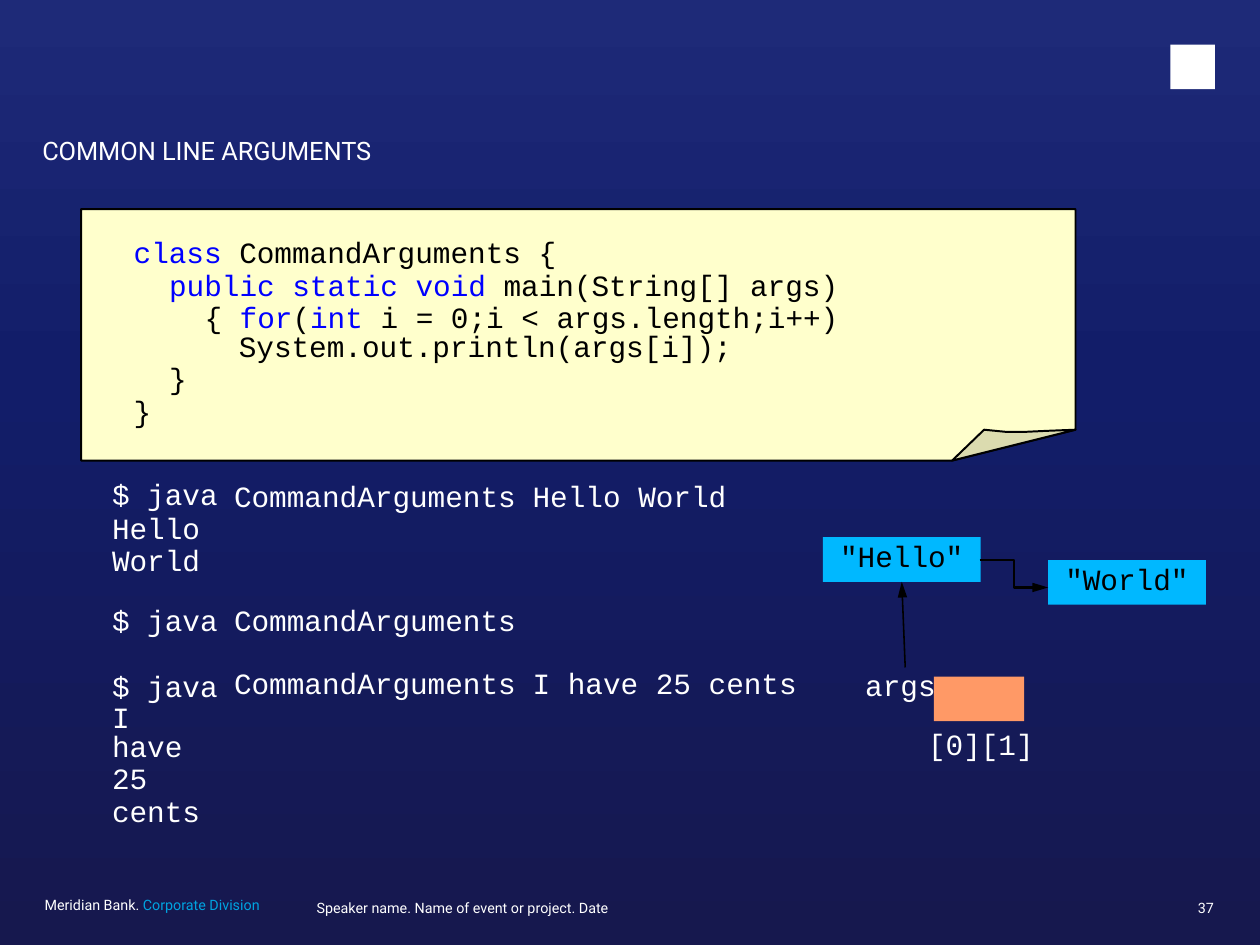
from copy import deepcopy

from lxml import etree
from pptx import Presentation
from pptx.dml.color import RGBColor
from pptx.enum import shapes, text
from pptx.oxml.ns import qn
from pptx.util import Inches, Pt

WHITE = RGBColor(0xFF, 0xFF, 0xFF)
BLACK = RGBColor(0x00, 0x00, 0x00)
KEYWORD = RGBColor(0x00, 0x00, 0xFF)
ACCENT = RGBColor(0x00, 0xA3, 0xE0)
NOTE = RGBColor(0xFF, 0xFF, 0xCC)
FOLD = RGBColor(0xDB, 0xDB, 0xAF)
STRING = RGBColor(0x00, 0xB8, 0xFF)
ARRAY = RGBColor(0xFF, 0x99, 0x66)
GRADIENT = [
    (0, RGBColor(0x16, 0x18, 0x4E)),
    (0.6, RGBColor(0x12, 0x1D, 0x69)),
    (1, RGBColor(0x1E, 0x2A, 0x78)),
]
CODE, SANS = "Courier New", "Roboto"
LEFT, CENTER, RIGHT = text.PP_ALIGN.LEFT, text.PP_ALIGN.CENTER, text.PP_ALIGN.RIGHT

# The page is 28 by 21 centimetres
deck = Presentation()
deck.slide_width, deck.slide_height = Inches(28 / 2.54), Inches(21 / 2.54)
page = deck.slides.add_slide(deck.slide_layouts[6])


def write(holder, *lines, font=CODE, size=18.5, color=WHITE, align=LEFT,
          spacing=None, before=None, indents=None, inset=(0, 0)):
    """Fill a shape or cell; a line is a string or a list of (string, colour)."""
    frame = holder.text_frame
    frame.word_wrap = True
    area = frame if hasattr(holder, "shape_id") else holder
    area.margin_left, area.margin_top = map(Inches, inset)
    area.margin_right = area.margin_bottom = 0
    area.vertical_anchor = text.MSO_ANCHOR.TOP
    for index, line in enumerate(lines):
        para = frame.paragraphs[0] if index == 0 else frame.add_paragraph()
        para.alignment = align
        if spacing:
            para.line_spacing = spacing[index]
        if before and index:
            para.space_before = Pt(before[index])
        if indents:
            margin, first = indents[index]
            settings = para._p.get_or_add_pPr()
            settings.set("marL", str(Inches(margin)))
            settings.set("indent", str(Inches(first)))
        for words, shade in [(line, color)] if isinstance(line, str) else line:
            span = para.add_run()
            span.text = words
            span.font.name, span.font.size = font, Pt(size)
            span.font.color.rgb = shade


def add_label(left, top, width, height, *lines, fill=None, **style):
    """Place a text box, or a filled rectangle, and write in it."""
    place = [Inches(value) for value in (left, top, width, height)]
    if fill is None:
        box = page.shapes.add_textbox(*place)
    else:
        box = page.shapes.add_shape(shapes.MSO_SHAPE.RECTANGLE, *place)
        box.shadow.inherit = False
        box.fill.solid()
        box.fill.fore_color.rgb = fill
        box.line.fill.background()
    if lines:
        write(box, *lines, **style)
    return box


# Background gradient, bottom to top
background = page.background.fill
background.gradient()
background.gradient_angle = 90
stop_list = page._element.find(".//" + qn("a:gsLst"))
stop_list.append(deepcopy(stop_list[-1]))
for stop, (position, shade) in zip(background.gradient_stops, GRADIENT):
    stop.position = position
    stop.color.rgb = shade

# Plain square, footer and title
add_label(10.24, 0.39, 0.39, 0.39, fill=WHITE)
footer = dict(font=SANS, size=9, spacing=[Pt(9)])
add_label(0.39, 7.87, 2.18, 0.2, [("Meridian Bank. ", WHITE), ("Corporate Division", ACCENT)], **footer)
add_label(10.24, 7.87, 0.38, 0.2, "37", align=RIGHT, inset=(0, 0.02), **footer)
add_label(2.77, 7.87, 5.4, 0.2, "Speaker name. Name of event or project. Date", inset=(0, 0.02), **footer)
add_label(0.37, 1.21, 9.47, 0.61, "COMMON LINE ARGUMENTS", font=SANS, size=16, spacing=[0.9])

# Note with a folded corner
note_outline = [(9.41, 3.76), (9.41, 1.83), (0.71, 1.83), (0.71, 4.03), (8.33, 4.03)]
fold_outline = [(9.41, 3.76), (9.16, 3.77), (8.95, 3.78), (8.81, 3.78), (8.61, 3.76), (8.33, 4.03)]
for outline, shade in ((note_outline, NOTE), (fold_outline, FOLD)):
    points = [(Inches(x), Inches(y)) for x, y in outline]
    builder = page.shapes.build_freeform(*points[0], scale=1.0)
    builder.add_line_segments(points[1:], close=True)
    paper = builder.convert_to_shape()
    paper.shadow.inherit = False
    paper.fill.solid()
    paper.fill.fore_color.rgb = shade
    paper.line.color.rgb = BLACK
    paper.line.width = Pt(1.25)

# Source code on the note
add_label(
    1.16, 2.04, 6.46, 1.72,
    [("class ", KEYWORD), ("CommandArguments {", BLACK)],
    [("public static void ", KEYWORD), ("main(String[] args) { ", BLACK), ("for", KEYWORD),
     ("(", BLACK), ("int ", KEYWORD), ("i = 0;i < args.length;i++)", BLACK)],
    "System.out.println(args[i]);",
    "}",
    "}",
    color=BLACK,
    spacing=[Pt(21.1), Pt(19.9), Pt(18.5), Pt(19.9), Pt(21.1)],
    before=[0, 1.4, 0, 0, 0],
    indents=[(0.01, 0), (0.63, -0.31), (0.93, 0), (0.32, 0), (0.01, 0)],
    inset=(0, 0.02),
)

# Console sessions
columns, rows = [1.03, 2.6, 2.41], [0.96, 0.55, 1.52]
table_frame = page.shapes.add_table(
    3, 3, Inches(0.95), Inches(4.26), Inches(sum(columns)), Inches(sum(rows)))
sessions = table_frame.table
sessions.first_row = sessions.horz_banding = False
style_id = table_frame._element.find(".//" + qn("a:tableStyleId"))
style_id.text = "{2D5ABB26-0587-4C30-8999-92F81FD0307C}"
for column, width in zip(sessions.columns, columns):
    column.width = Inches(width)
for row, height in zip(sessions.rows, rows):
    row.height = Inches(height)
for cell in sessions.iter_cells():
    cell.fill.background()

console = [
    (["$ java", "Hello World"], [17.4, 20], [0, 1.3], 0, "Hello World"),
    (["$ java"], [21], None, 0.09, ""),
    (["$ java I", "have", "25", "cents"], [19.9, 18.4, 19.9, 21], None, 0.13, "I have 25 cents"),
]
for row, (output, heights, before, top, arguments) in enumerate(console):
    spacing = [Pt(18.6)] if row == 0 else None
    command_top = 0 if row == 0 else 0.09
    write(sessions.cell(row, 0), *output, spacing=[Pt(value) for value in heights],
          before=before, indents=[(0.03, 0)] * len(output), inset=(0, top))
    write(sessions.cell(row, 1), "CommandArguments", align=CENTER, spacing=spacing, inset=(0, command_top))
    if arguments:
        write(sessions.cell(row, 2), arguments, spacing=spacing, indents=[(0.08, 0)], inset=(0, command_top))

# Array and its strings
add_label(7.56, 5.82, 1.49, 0.85, "args", "[0][1]",
          before=[0, 14.4], indents=[(0.01, 0), (0.56, 0)], inset=(0, 0.02))
string_style = dict(fill=STRING, color=BLACK, indents=[(0.15, 0)], inset=(0, 0.01))
hello = add_label(7.2, 4.7, 1.38, 0.39, '"Hello"', **string_style)
world = add_label(9.17, 4.9, 1.38, 0.39, '"World"', **string_style)
add_label(8.17, 5.92, 0.79, 0.39, fill=ARRAY)

# Arrows
args_arrow = page.shapes.add_connector(
    shapes.MSO_CONNECTOR.STRAIGHT, Inches(7.92), Inches(5.84), Inches(7.89), Inches(5.09))
args_arrow.end_connect(hello, 2)
next_arrow = page.shapes.add_connector(
    shapes.MSO_CONNECTOR.ELBOW, Inches(8.57), Inches(4.9), Inches(9.17), Inches(5.14))
for arrow, width in ((args_arrow, 1), (next_arrow, 1.5)):
    arrow.line.color.rgb = BLACK
    arrow.line.width = Pt(width)
    etree.SubElement(arrow.line._get_or_add_ln(), qn("a:tailEnd"), type="triangle", w="med", len="lg")
    etree.SubElement(arrow._element.spPr, qn("a:effectLst"))

deck.save("out.pptx")
